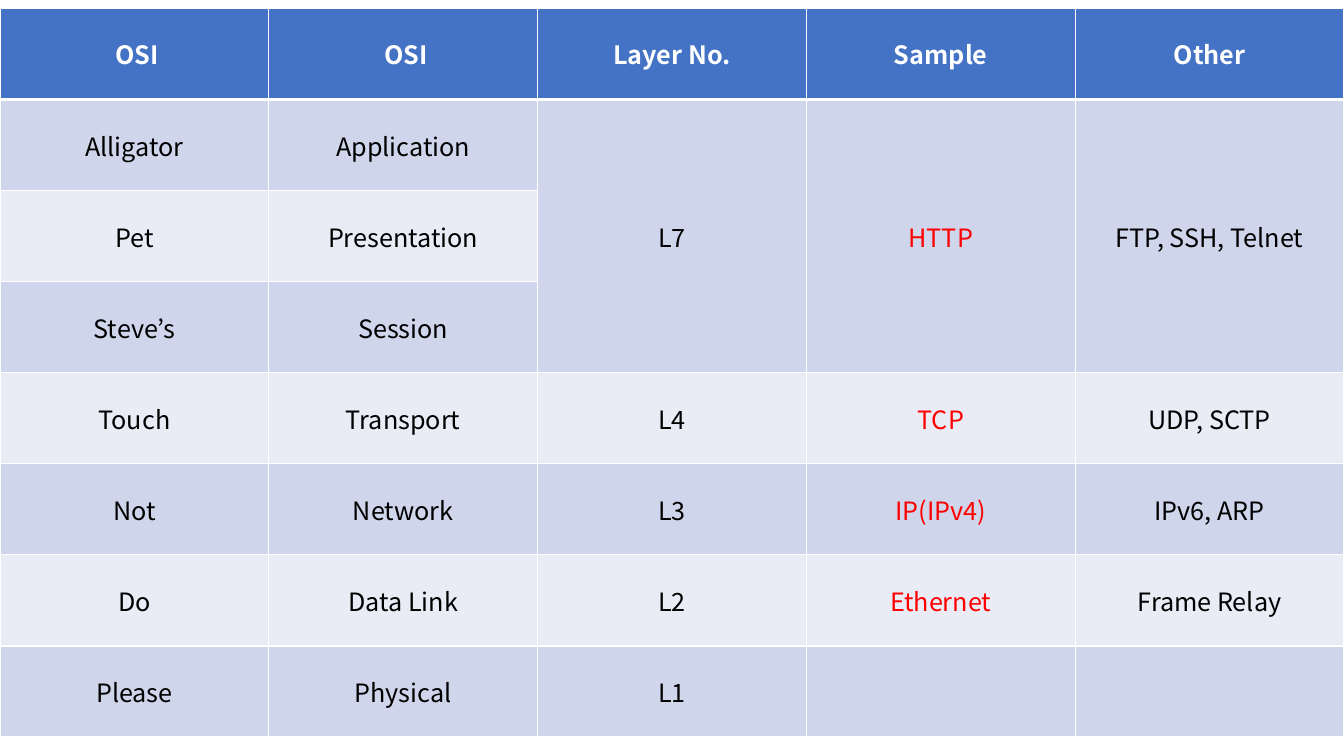
from dataclasses import dataclass

from lxml.etree import SubElement
from pptx import Presentation
from pptx.dml.color import RGBColor as Rgb
from pptx.enum.text import MSO_ANCHOR as Anchor, PP_ALIGN as Align
from pptx.oxml.ns import qn
from pptx.util import Pt


@dataclass(frozen=True)
class Theme:
    """Colours, type and line weights of the slide."""
    font: str = "Noto Sans CJK KR"
    size: float = 18
    header: str = "4472C4"
    bands: tuple = ("CFD5EA", "E9EBF5")
    text: str = "000000"
    light: str = "FFFFFF"
    accent: str = "FF0000"
    rule: float = 1
    header_rule: float = 3


THEME = Theme()
SLIDE_WIDTH, SLIDE_HEIGHT = 960, 540
TABLE_TOP, ROW_HEIGHT = 6, 65.07
SAMPLE_COLUMN = 3
MERGED_COLUMNS = (2, 3, 4)
FIRST_MERGED, LAST_MERGED = 1, 3

LAYERS = [
    (" OSI", " OSI", "Layer No.", "Sample", "Other"),
    ("Alligator", "Application", "L7", "HTTP", "FTP, SSH, Telnet"),
    ("Pet", "Presentation", "", "", ""),
    ("Steve’s", "Session", "", "", ""),
    ("Touch", "Transport", "L4", "TCP", "UDP, SCTP"),
    ("Not", "Network", "L3", "IP(IPv4)", "IPv6, ARP"),
    ("Do", "Data Link", "L2", "Ethernet", "Frame Relay"),
    ("Please", "Physical", "L1", "", ""),
]


def write(frame, text, *, color=THEME.text, bold=False, align=Align.CENTER):
    """Write one formatted line of text into a text frame."""
    line = frame.paragraphs[0]
    line.alignment = align
    if not text:
        return
    run = line.add_run()
    run.text = text
    run.font.name = THEME.font
    run.font.size = Pt(THEME.size)
    run.font.bold = bold
    run.font.color.rgb = Rgb.from_string(color)


def add_border(cell, side, width):
    """Draw one solid border of a cell."""
    border = SubElement(cell._tc.get_or_add_tcPr(), qn(f"a:ln{side}"), w=str(Pt(width)))
    fill = SubElement(border, qn("a:solidFill"))
    SubElement(fill, qn("a:srgbClr"), val=THEME.light)


def style_cell(cell, row):
    """Give a cell the borders and fill of its row."""
    heavy_side = {0: "B", 1: "T"}.get(row)
    for side in "LRTB":
        add_border(cell, side, THEME.header_rule if side == heavy_side else THEME.rule)
    cell.fill.solid()
    band = THEME.bands[(row - 1) % 2] if row else THEME.header
    cell.fill.fore_color.rgb = Rgb.from_string(band)
    cell.vertical_anchor = Anchor.MIDDLE


def text_color(row, column):
    """Choose the text colour for a place in the table."""
    if row == 0:
        return THEME.light
    return THEME.accent if column == SAMPLE_COLUMN else THEME.text


def add_layer_table(slide):
    """Add the table of network layers."""
    rows, columns = len(LAYERS), len(LAYERS[0])
    table = slide.shapes.add_table(
        rows, columns, 0, Pt(TABLE_TOP), Pt(SLIDE_WIDTH), Pt(ROW_HEIGHT * rows)
    ).table
    for row, labels in enumerate(LAYERS):
        table.rows[row].height = Pt(ROW_HEIGHT)
        for column, label in enumerate(labels):
            cell = table.cell(row, column)
            style_cell(cell, row)
            write(cell.text_frame, label, color=text_color(row, column), bold=row == 0)
    for column in MERGED_COLUMNS:
        table.cell(FIRST_MERGED, column).merge(table.cell(LAST_MERGED, column))


def main():
    """Build the slide and save it."""
    deck = Presentation()
    deck.slide_width, deck.slide_height = Pt(SLIDE_WIDTH), Pt(SLIDE_HEIGHT)
    blank_layout = deck.slide_layouts[6]
    add_layer_table(deck.slides.add_slide(blank_layout))
    deck.save("out.pptx")


main()
